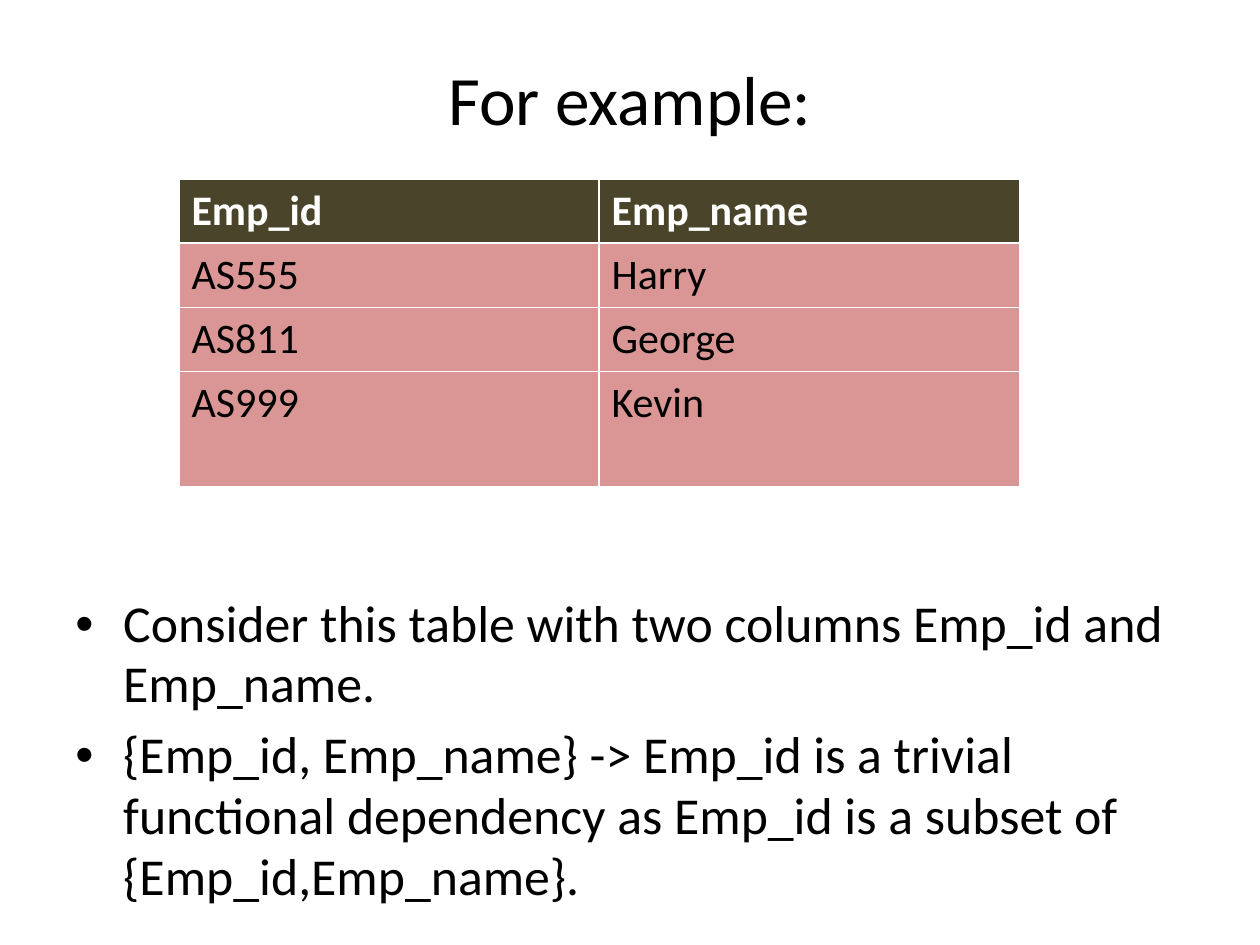
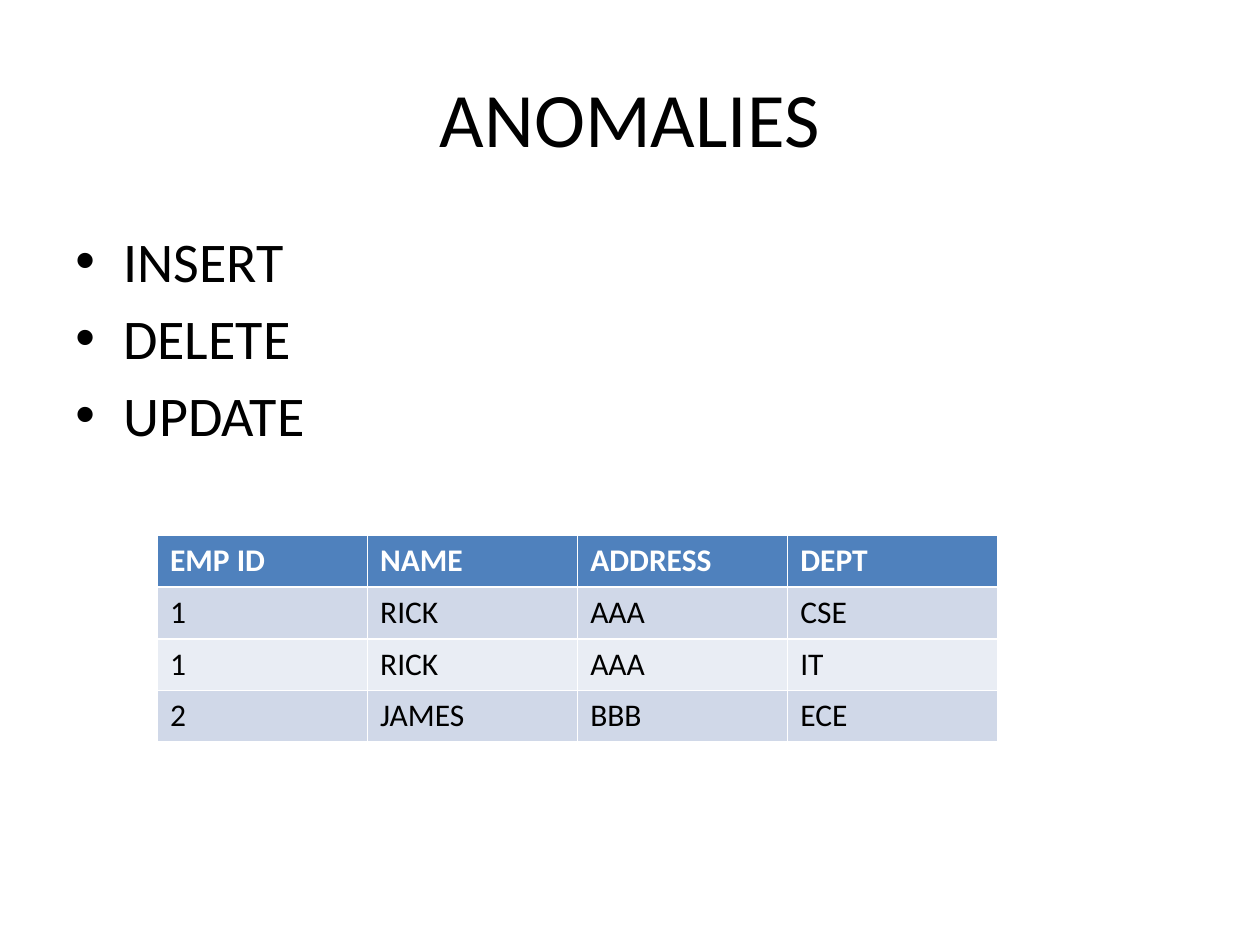
from dataclasses import dataclass

from lxml.etree import SubElement
from pptx import Presentation
from pptx.dml.color import RGBColor
from pptx.enum.text import MSO_ANCHOR, PP_ALIGN
from pptx.oxml.ns import qn
from pptx.util import Inches, Pt


@dataclass(frozen=True)
class Theme:
    font: str = "Calibri"
    text: str = "000000"
    header_text: str = "FFFFFF"
    bullet_gap: float = 5.6
    bullet_indent: float = 0.38
    margin: float = 0.5
    content_width: float = 9
    title_top: float = 0.3
    table_width: float = 6.67


THEME = Theme()

SLIDES = [
    {
        "title": {"text": "For example:", "height": 0.95, "size": 39.6},
        "bullets": {
            "top": 4.66, "height": 2.6, "size": 29.6, "line_spacing": 0.98,
            "items": [
                "Consider this table with two columns Emp_id and Emp_name.",
                "{Emp_id, Emp_name} -> Emp_id is a trivial functional dependency "
                "as Emp_id is a subset of {Emp_id,Emp_name}.",
            ],
        },
        "table": {
            "left": 1.42, "top": 1.42, "size": 24,
            "row_heights": [0.51, 0.51, 0.51, 0.91],
            "header_fill": "4A452A", "band_fills": ["D99694"],
            "rows": [
                ("Emp_id", "Emp_name"),
                ("AS555", "Harry"),
                ("AS811", "George"),
                ("AS999", "Kevin"),
            ],
        },
    },
    {
        "title": {"text": "ANOMALIES", "height": 1.25, "size": 44},
        "bullets": {
            "top": 1.75, "height": 4.95, "size": 32, "line_spacing": 1.0,
            "items": ["INSERT", "DELETE", "UPDATE"],
        },
        "table": {
            "left": 1.25, "top": 4.25, "size": 18,
            "row_heights": [0.41] * 4,
            "header_fill": "4F81BD", "band_fills": ["D0D8E8", "E9EDF4"],
            "rows": [
                ("EMP ID", "NAME", "ADDRESS", "DEPT"),
                ("1", "RICK", "AAA", "CSE"),
                ("1", "RICK", "AAA", "IT"),
                ("2", "JAMES", "BBB", "ECE"),
            ],
        },
    },
]


def add_run(paragraph, text, size, color=THEME.text, bold=False):
    run = paragraph.add_run()
    run.text = text
    run.font.name = THEME.font
    run.font.size = Pt(size)
    run.font.bold = bold
    run.font.color.rgb = RGBColor.from_string(color)


def add_content_box(slide, top, height):
    """Add a wrapping text box across the content width; return its text frame."""
    box = slide.shapes.add_textbox(
        Inches(THEME.margin), Inches(top), Inches(THEME.content_width), Inches(height)
    )
    box.text_frame.word_wrap = True
    return box.text_frame


def add_title(slide, text, height, size):
    frame = add_content_box(slide, THEME.title_top, height)
    frame.vertical_anchor = MSO_ANCHOR.MIDDLE
    paragraph = frame.paragraphs[0]
    paragraph.alignment = PP_ALIGN.CENTER
    add_run(paragraph, text, size)


def set_bullet(paragraph):
    properties = paragraph._p.get_or_add_pPr()
    indent = Inches(THEME.bullet_indent)
    properties.set("marL", str(indent))
    properties.set("indent", str(-indent))
    SubElement(properties, qn("a:buFont"), typeface="Arial")
    SubElement(properties, qn("a:buChar"), char="•")


def add_bullets(slide, top, height, size, line_spacing, items):
    frame = add_content_box(slide, top, height)
    for index, item in enumerate(items):
        paragraph = frame.add_paragraph() if index else frame.paragraphs[0]
        set_bullet(paragraph)
        paragraph.line_spacing = line_spacing
        if index:
            paragraph.space_before = Pt(THEME.bullet_gap)
        add_run(paragraph, item, size)


def add_data_table(slide, left, top, size, row_heights, header_fill, band_fills, rows):
    column_count = len(rows[0])
    table = slide.shapes.add_table(
        len(rows), column_count, Inches(left), Inches(top),
        Inches(THEME.table_width), Inches(sum(row_heights)),
    ).table
    for column in table.columns:
        column.width = Inches(THEME.table_width / column_count)
    for row_index, values in enumerate(rows):
        table.rows[row_index].height = Inches(row_heights[row_index])
        is_header = row_index == 0
        fill = header_fill if is_header else band_fills[(row_index - 1) % len(band_fills)]
        color = THEME.header_text if is_header else THEME.text
        for column_index, value in enumerate(values):
            cell = table.cell(row_index, column_index)
            cell.fill.solid()
            cell.fill.fore_color.rgb = RGBColor.from_string(fill)
            add_run(cell.text_frame.paragraphs[0], value, size, color, bold=is_header)


def main():
    presentation = Presentation()
    presentation.slide_width = Inches(10)
    presentation.slide_height = Inches(7.5)
    blank_layout = presentation.slide_layouts[6]
    for content in SLIDES:
        slide = presentation.slides.add_slide(blank_layout)
        add_title(slide, **content["title"])
        add_bullets(slide, **content["bullets"])
        add_data_table(slide, **content["table"])
    presentation.save("out.pptx")


if __name__ == "__main__":
    main()
